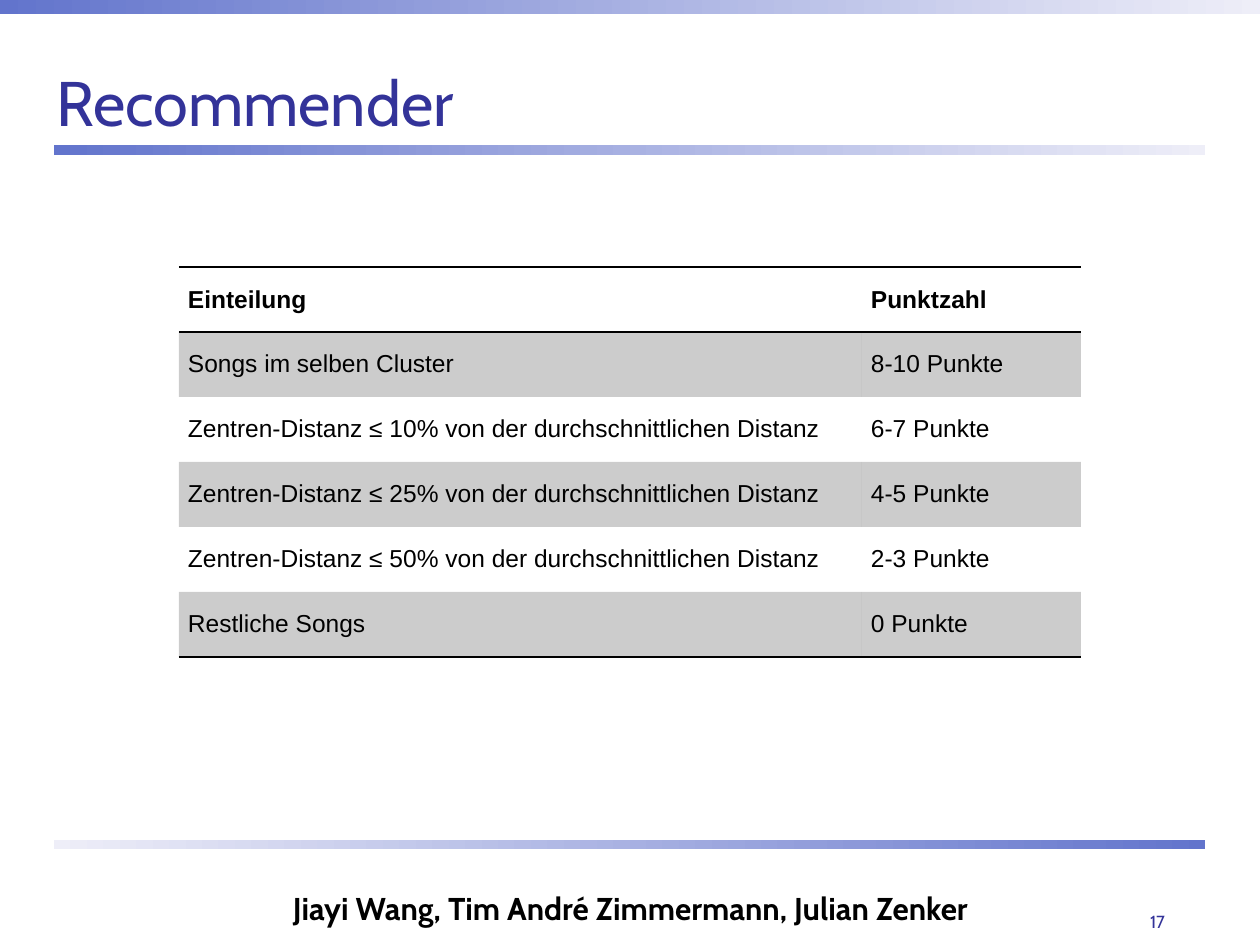
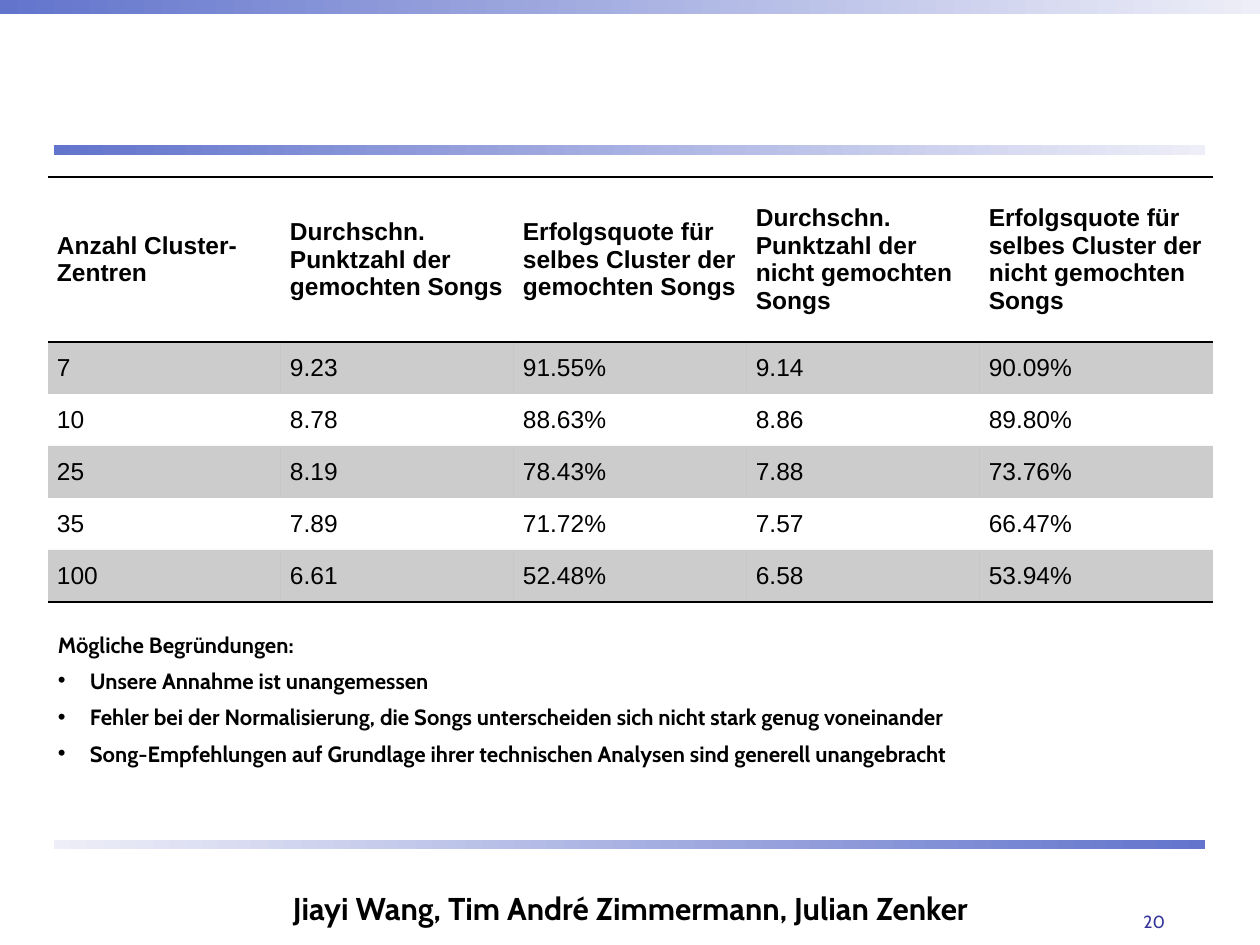
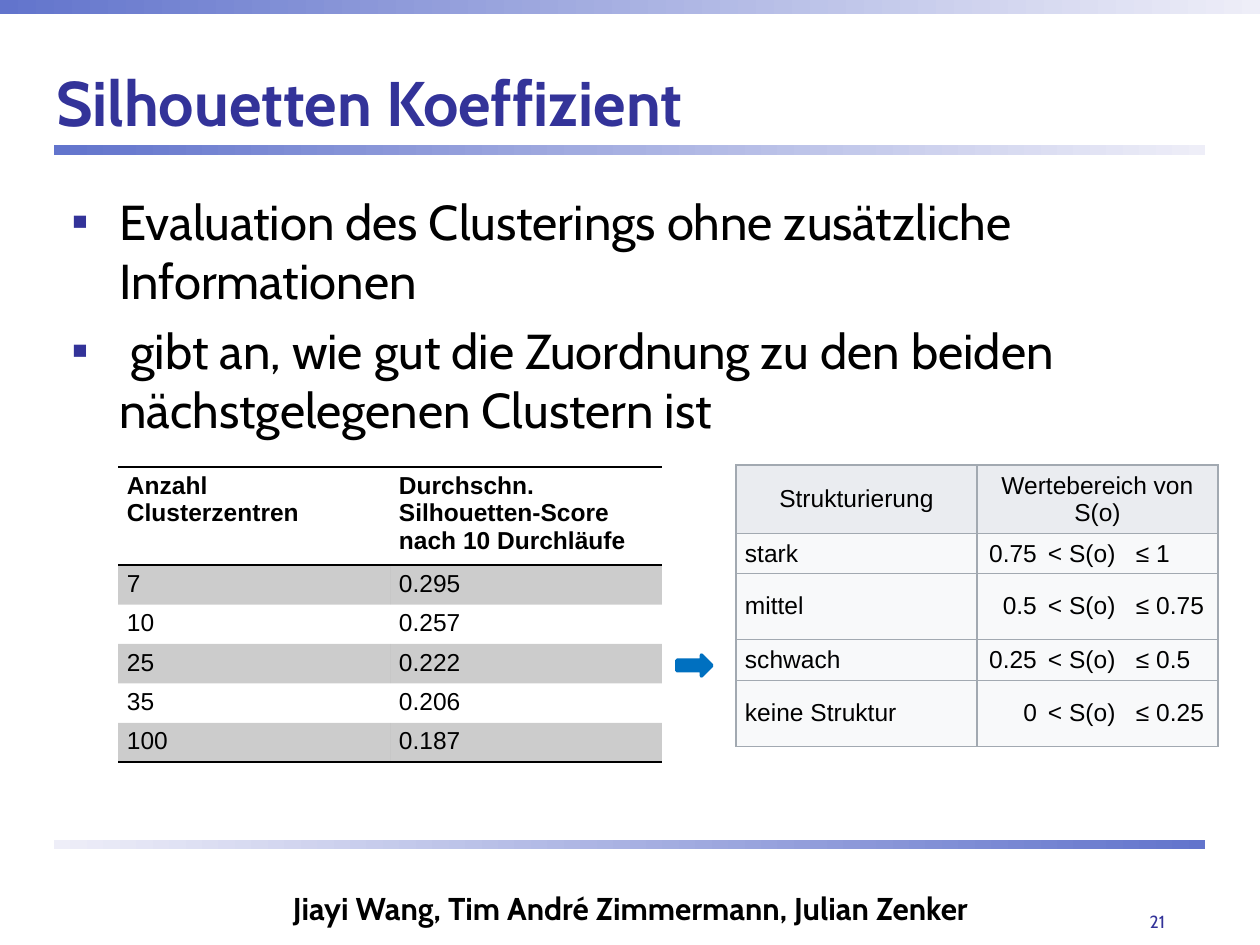
from dataclasses import dataclass

from lxml.etree import SubElement
from pptx import Presentation
from pptx.dml.color import RGBColor
from pptx.enum.shapes import MSO_SHAPE as Preset
from pptx.enum.text import MSO_ANCHOR as Anchor, PP_ALIGN as Align
from pptx.oxml import parse_xml
from pptx.oxml.ns import nsdecls, qn
from pptx.util import Emu, Pt

EMU_PER_PX = 914400 / 126
PLAIN_TABLE_STYLE = "{2D5ABB26-0587-4C30-8999-92F81FD0307C}"


@dataclass(frozen=True)
class Theme:
    heading_font: str = "Cabin"
    table_font: str = "Arial"
    ink: str = "000000"
    accent: str = "333399"
    band_dark: str = "6274CC"
    band_light: str = "EEEEF8"
    arrow: str = "0070C0"
    grid: str = "A2A9B1"
    grid_header: str = "EAECF0"
    grid_body: str = "F8F9FA"
    stripe_alpha: int = 20
    title_size: float = 36
    body_size: float = 28
    footer_size: float = 18
    table_size: float = 14
    reason_size: float = 12.6
    number_size: float = 10


THEME = Theme()
AUTHORS = "Jiayi Wang, Tim André Zimmermann, Julian Zenker"
CELL_MARGINS = {"margin_left": 9, "margin_right": 9, "margin_top": 5, "margin_bottom": 5}
NO_MARGINS = dict.fromkeys(CELL_MARGINS, 0)


def px(value):
    return Emu(round(value * EMU_PER_PX))


def set_attributes(target, values):
    for name, value in values.items():
        setattr(target, name, value)


def set_margins(target, margins):
    set_attributes(target, {name: px(value) for name, value in margins.items()})


def write(paragraph, text, size, color=THEME.ink, font=THEME.heading_font, bold=False, **layout):
    """Add one run; layout holds paragraph attributes such as alignment."""
    run = paragraph.add_run()
    run.text = text
    set_attributes(run.font, {"name": font, "size": Pt(size), "bold": bold})
    run.font.color.rgb = RGBColor.from_string(color)
    set_attributes(paragraph, layout)


def add_text_frame(slide, box, margins=None, anchor=Anchor.TOP, wrap=True):
    frame = slide.shapes.add_textbox(*map(px, box)).text_frame
    set_attributes(frame, {"word_wrap": wrap, "vertical_anchor": anchor})
    set_margins(frame, margins or {})
    return frame


def add_paragraph(frame, is_first):
    return frame.paragraphs[0] if is_first else frame.add_paragraph()


def set_bullet(paragraph, character, indent, color):
    properties = paragraph._p.get_or_add_pPr()
    properties.set("marL", str(px(indent)))
    properties.set("indent", str(-px(indent)))
    bullet_color = SubElement(properties, qn("a:buClr"))
    SubElement(bullet_color, qn("a:srgbClr"), val=color)
    SubElement(properties, qn("a:buFont"), typeface=THEME.table_font)
    SubElement(properties, qn("a:buChar"), char=character)


def set_tab_stops(paragraph, stops):
    tab_list = SubElement(paragraph._p.get_or_add_pPr(), qn("a:tabLst"))
    for position, alignment in stops:
        SubElement(tab_list, qn("a:tab"), pos=str(px(position)), algn=alignment)


def add_band(slide, box, colors):
    band = slide.shapes.add_shape(Preset.RECTANGLE, *map(px, box))
    band.shadow.inherit = False
    band.line.fill.background()
    band.fill.gradient()
    band.fill.gradient_angle = 0
    for stop, color in zip(band.fill.gradient_stops, colors):
        stop.color.rgb = RGBColor.from_string(color)


def add_arrow(slide, box):
    arrow = slide.shapes.add_shape(Preset.RIGHT_ARROW, *map(px, box))
    arrow.shadow.inherit = False
    arrow.fill.solid()
    arrow.line.width = Pt(2)
    for fill in (arrow.fill, arrow.line.fill):
        fill.solid()
        fill.fore_color.rgb = RGBColor.from_string(THEME.arrow)


def add_title(slide, text, bold=False):
    frame = add_text_frame(slide, (44, 45, 1155, 100), anchor=Anchor.BOTTOM)
    write(frame.paragraphs[0], text, THEME.title_size, THEME.accent, bold=bold)


def add_framed_slide(presentation, number):
    """Add a blank slide with the shared bands, page number and authors."""
    slide = presentation.slides.add_slide(presentation.slide_layouts[6])
    fade_out = (THEME.band_dark, THEME.band_light)
    add_band(slide, (54, 145, 1151, 10), fade_out)
    add_band(slide, (0, 0, 1260, 14), fade_out)
    add_band(slide, (54, 840, 1151, 9), fade_out[::-1])
    page = add_text_frame(slide, (1116, 902, 49, 30), NO_MARGINS, Anchor.BOTTOM, wrap=False)
    write(page.paragraphs[0], str(number), THEME.number_size, THEME.accent, alignment=Align.RIGHT)
    footer = add_text_frame(slide, (268, 883, 725, 30))
    write(footer.paragraphs[0], AUTHORS, THEME.footer_size, bold=True, alignment=Align.CENTER)
    return slide


def set_cell_fill(cell, color, alpha=100):
    cell.fill.solid()
    cell.fill.fore_color.rgb = RGBColor.from_string(color)
    if alpha < 100:
        color_element = cell._tc.tcPr.find(".//" + qn("a:srgbClr"))
        SubElement(color_element, qn("a:alpha"), val=str(alpha * 1000))


def set_cell_borders(cell, sides, color, width):
    """Draw the sides, given in the order L, R, T, B."""
    properties = cell._tc.get_or_add_tcPr()
    for index, side in enumerate(sides):
        properties.insert(index, parse_xml(
            f'<a:ln{side} {nsdecls("a")} w="{Pt(width)}"><a:solidFill>'
            f'<a:srgbClr val="{color}"/></a:solidFill></a:ln{side}>'))


def add_table(slide, position, columns, heights, rows, style_cell, anchor=Anchor.MIDDLE):
    """Add a table; style_cell(cell, row, column, last_row) gives text options."""
    size = (sum(columns), sum(heights))
    table = slide.shapes.add_table(len(rows), len(columns), *map(px, position + size)).table
    set_attributes(table, {"first_row": False, "horz_banding": False})
    table._tbl.tblPr.find(qn("a:tableStyleId")).text = PLAIN_TABLE_STYLE
    for column, width in zip(table.columns, columns):
        column.width = px(width)
    for row_index, (height, texts) in enumerate(zip(heights, rows)):
        table.rows[row_index].height = px(height)
        for column_index, text in enumerate(texts):
            cell = table.cell(row_index, column_index)
            cell.vertical_anchor = anchor
            set_margins(cell, CELL_MARGINS)
            options = style_cell(cell, row_index, column_index, len(rows) - 1)
            write(cell.text_frame.paragraphs[0], text, THEME.table_size,
                  font=THEME.table_font, **options)


def style_striped(cell, row, column, last_row):
    if row % 2:
        set_cell_fill(cell, THEME.ink, THEME.stripe_alpha)
    else:
        cell.fill.background()
    if row == 0:
        set_cell_borders(cell, "TB", THEME.ink, 1)
    elif row == last_row:
        set_cell_borders(cell, "B", THEME.ink, 1)
    return {"bold": row == 0}


def style_grid(cell, row, column, last_row):
    set_cell_fill(cell, THEME.grid_body if row else THEME.grid_header)
    set_cell_borders(cell, "LRTB", THEME.grid, 0.75)
    if row and column:
        set_tab_stops(cell.text_frame.paragraphs[0], [(51, "r"), (62, "l"), (150, "l")])
    return {"alignment": Align.LEFT if row else Align.CENTER}


def build_recommender(presentation):
    slide = add_framed_slide(presentation, 17)
    add_title(slide, "Recommender")
    distances = [
        (f"Zentren-Distanz ≤ {share}% von der durchschnittlichen Distanz", f"{points} Punkte")
        for share, points in ((10, "6-7"), (25, "4-5"), (50, "2-3"))
    ]
    rows = [
        ("Einteilung", "Punktzahl"),
        ("Songs im selben Cluster", "8-10 Punkte"),
        *distances,
        ("Restliche Songs", "0 Punkte"),
    ]
    add_table(slide, (179, 267), (683, 219), [65] * 6, rows, style_striped)


def build_cluster_results(presentation):
    slide = add_framed_slide(presentation, 20)
    rows = [
        ("Anzahl Cluster-Zentren",
         "Durchschn. Punktzahl der gemochten Songs",
         "Erfolgsquote für selbes Cluster der gemochten Songs",
         "Durchschn. Punktzahl der nicht gemochten Songs",
         "Erfolgsquote für selbes Cluster der nicht gemochten Songs"),
        ("7", "9.23", "91.55%", "9.14", "90.09%"),
        ("10", "8.78", "88.63%", "8.86", "89.80%"),
        ("25", "8.19", "78.43%", "7.88", "73.76%"),
        ("35", "7.89", "71.72%", "7.57", "66.47%"),
        ("100", "6.61", "52.48%", "6.58", "53.94%"),
    ]
    add_table(slide, (48, 177), [233] * 5, [165] + [52] * 5, rows, style_striped)

    reasons = [
        "Mögliche Begründungen:",
        "Unsere Annahme ist unangemessen",
        "Fehler bei der Normalisierung, die Songs unterscheiden sich nicht stark genug voneinander",
        "Song-Empfehlungen auf Grundlage ihrer technischen Analysen sind generell unangebracht",
    ]
    frame = add_text_frame(slide, (49, 634, 1163, 156), CELL_MARGINS)
    for index, reason in enumerate(reasons):
        paragraph = add_paragraph(frame, index == 0)
        write(paragraph, reason, THEME.reason_size, bold=True,
              line_spacing=0.7, space_before=Pt(10))
        if index:
            set_bullet(paragraph, "•", 32, THEME.ink)


def build_silhouette(presentation):
    slide = add_framed_slide(presentation, 21)
    add_title(slide, "Silhouetten Koeffizient", bold=True)
    statements = [
        "Evaluation des Clusterings ohne zusätzliche Informationen",
        " gibt an, wie gut die Zuordnung zu den beiden nächstgelegenen Clustern ist",
    ]
    frame = add_text_frame(slide, (59, 185, 1140, 635))
    for index, statement in enumerate(statements):
        paragraph = add_paragraph(frame, index == 0)
        write(paragraph, statement, THEME.body_size, space_before=Pt(6.7 * index))
        set_bullet(paragraph, "▪", 48, THEME.accent)

    ranges = [
        ("Strukturierung", "Wertebereich von S(o)"),
        ("stark", "\t0.75\t< S(o)\t≤ 1"),
        ("mittel", "\t0.5\t< S(o)\t≤ 0.75"),
        ("schwach", "\t0.25\t< S(o)\t≤ 0.5"),
        ("keine Struktur", "\t0\t< S(o)\t≤ 0.25"),
    ]
    add_table(slide, (736, 465), (241, 241), (66, 38, 66, 41, 66), ranges, style_grid)

    scores = [
        ("Anzahl Clusterzentren", "Durchschn. Silhouetten-Score nach 10 Durchläufe"),
        ("7", "0.295"),
        ("10", "0.257"),
        ("25", "0.222"),
        ("35", "0.206"),
        ("100", "0.187"),
    ]
    add_table(slide, (118, 467), (272, 272), [95] + [38] * 5, scores, style_striped, Anchor.TOP)
    add_arrow(slide, (677, 655, 35, 21))


def main():
    presentation = Presentation()
    set_attributes(presentation, {"slide_width": px(1260), "slide_height": px(945)})
    build_recommender(presentation)
    build_cluster_results(presentation)
    build_silhouette(presentation)
    presentation.save("out.pptx")


if __name__ == "__main__":
    main()
